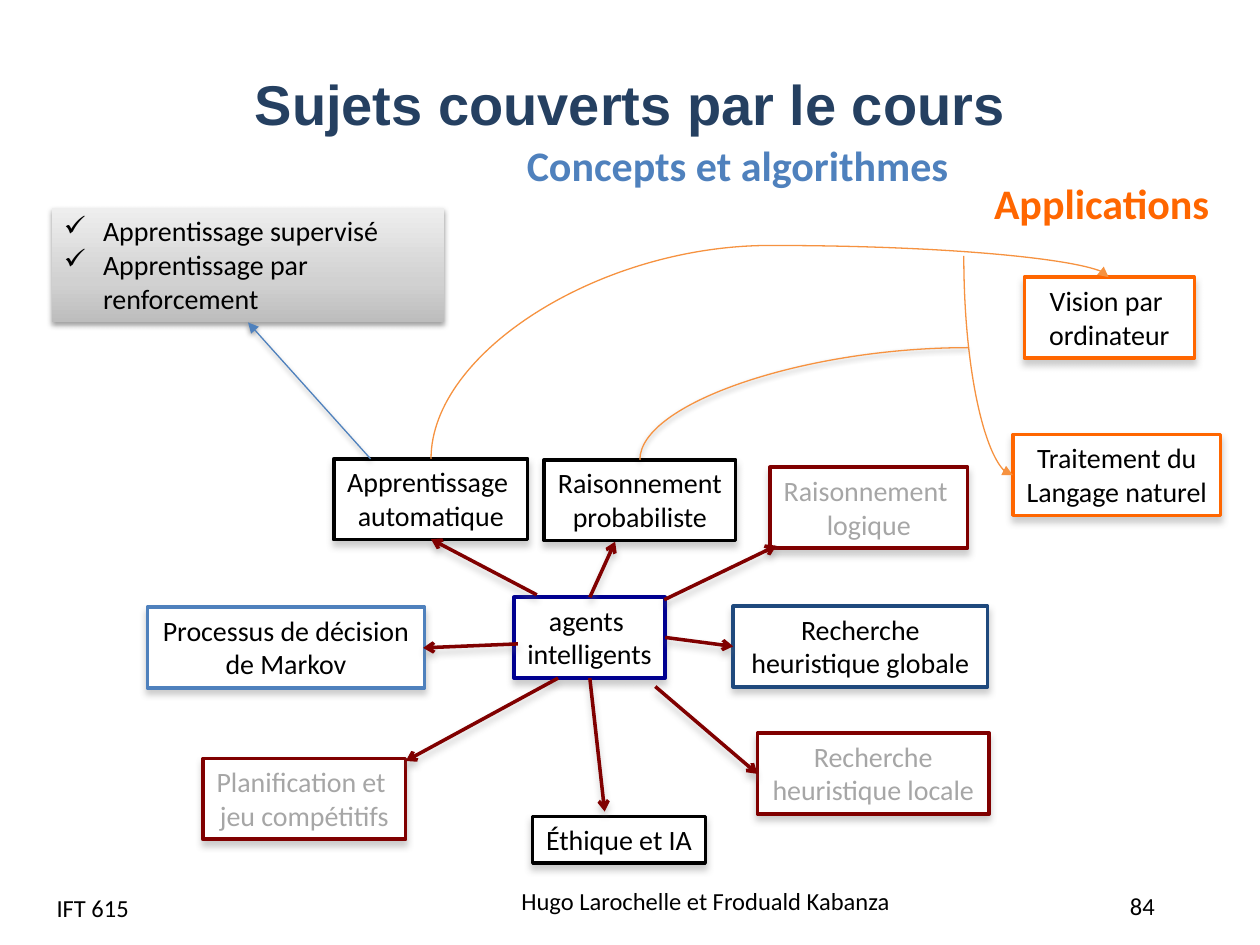
from dataclasses import dataclass
from typing import NamedTuple

from pptx import Presentation
from pptx.dml.color import RGBColor
from pptx.enum.shapes import MSO_CONNECTOR, MSO_SHAPE
from pptx.enum.text import MSO_ANCHOR, PP_ALIGN
from pptx.oxml import parse_xml
from pptx.oxml.ns import nsdecls, qn
from pptx.util import Cm, Pt

LEFT, CENTER = PP_ALIGN.LEFT, PP_ALIGN.CENTER
TOP, MIDDLE = MSO_ANCHOR.TOP, MSO_ANCHOR.MIDDLE
RECT, STRAIGHT = MSO_SHAPE.RECTANGLE, MSO_CONNECTOR.STRAIGHT


@dataclass(frozen=True)
class Theme:
    body: str = "Calibri"
    heading: str = "Arial"
    title_pt: int = 32
    section_pt: int = 24
    node_pt: int = 16
    footer_pt: int = 14
    node_line: float = 2
    thin_line: float = 0.75
    black: str = "000000"
    white: str = "FFFFFF"
    navy: str = "254061"
    blue: str = "4F81BD"
    dark_blue: str = "1F497D"
    agent: str = "000090"
    red: str = "800000"
    grey: str = "A6A6A6"
    orange: str = "FF6600"
    curve: str = "F69240"
    gradient: tuple = ((0, "BDBDBD"), (35, "D1D1D1"), (100, "EEEEEE"))
    # colour, opacity %, blur pt, distance pt
    node_shadow: tuple = ("808080", 40, 4, 3)
    thin_shadow: tuple = ("000000", 38, 3.1, 1.6)


class Box(NamedTuple):
    x: float
    y: float
    w: float
    h: float

    def inner(self, x, y, w, h):
        return Box(self.x + x, self.y + y, w, h)

    def point(self, x, y):
        return self.x + x, self.y + y

    def emu(self):
        return [Cm(v) for v in self]


T = Theme()
NODE_H = 1.63


def rgb(value):
    return RGBColor.from_string(value)


def set_shadow(spPr, shadow):
    """Give the shape a downward shadow, or none at all."""
    effects = spPr.find(qn("a:effectLst"))
    if effects is None:
        effects = parse_xml(f'<a:effectLst {nsdecls("a")}/>')
        spPr.append(effects)
    if shadow:
        color, alpha, blur, dist = shadow
        effects.append(parse_xml(
            f'<a:outerShdw {nsdecls("a")} blurRad="{Pt(blur)}" dist="{Pt(dist)}" '
            f'dir="5400000" rotWithShape="0"><a:srgbClr val="{color}">'
            f'<a:alpha val="{alpha * 1000}"/></a:srgbClr></a:outerShdw>'))


def write(sp, text, size=T.node_pt, color=T.black, font=T.body, bold=False,
          align=LEFT, anchor=TOP, wrap=True, bullet=None):
    tf = sp.text_frame
    tf.word_wrap, tf.vertical_anchor = wrap, anchor
    for i, line in enumerate(text.split("\n")):
        p = tf.paragraphs[0] if i == 0 else tf.add_paragraph()
        p.alignment = align
        if bullet:
            pPr = p._p.get_or_add_pPr()
            pPr.set("marL", str(Cm(0.79)))
            pPr.set("indent", str(-Cm(0.79)))
            pPr.append(parse_xml(f'<a:buChar {nsdecls("a")} char="{bullet}"/>'))
        r = p.add_run()
        r.text = line
        r.font.size, r.font.name, r.font.bold = Pt(size), font, bold
        r.font.color.rgb = rgb(color)


def add_text(slide, box, text, **fmt):
    write(slide.shapes.add_textbox(*box.emu()), text, **fmt)


def add_node(slide, box, text, line, color=T.black, wrap=False):
    sp = slide.shapes.add_shape(RECT, *box.emu())
    sp.shadow.inherit = False
    sp.fill.solid()
    sp.fill.fore_color.rgb = rgb(T.white)
    sp.line.color.rgb = rgb(line)
    sp.line.width = Pt(T.node_line)
    set_shadow(sp._element.spPr, T.node_shadow)
    write(sp, text, color=color, align=CENTER, wrap=wrap)


def add_link(slide, start, end, color, width=T.thin_line, head=None, shadow=None):
    c = slide.shapes.add_connector(STRAIGHT, *[Cm(v) for v in (*start, *end)])
    c.line.color.rgb = rgb(color)
    c.line.width = Pt(width)
    if head:
        c.line._get_or_add_ln().append(
            parse_xml(f'<a:tailEnd {nsdecls("a")} type="{head}"/>'))
    set_shadow(c._element.spPr, shadow)
    return c


def add_curve(slide, start, end, kind, turn, flips, adj=None, **fmt):
    """Curved link lying a quarter turn round, so its sides are swapped."""
    c = add_link(slide, start, end, T.curve, **fmt)
    (x1, y1), (x2, y2) = start, end
    w, h = abs(y2 - y1), abs(x2 - x1)
    c.left, c.top = Cm((x1 + x2 - w) / 2), Cm((y1 + y2 - h) / 2)
    c.width, c.height = Cm(w), Cm(h)
    spPr = c._element.spPr
    xfrm = spPr.find(qn("a:xfrm"))
    xfrm.set("rot", str(turn * 60000))
    for axis in "HV":
        xfrm.set("flip" + axis, str(int(axis in flips)))
    geom = spPr.find(qn("a:prstGeom"))
    geom.set("prst", kind)
    if adj:
        geom.find(qn("a:avLst")).append(
            parse_xml(f'<a:gd {nsdecls("a")} name="adj1" fmla="val {adj}"/>'))


def headings(slide, box):
    add_text(slide, box.inner(0, 0, box.w, 1.96), "Sujets couverts par le cours",
             size=T.title_pt, font=T.heading, color=T.navy, bold=True,
             align=CENTER, anchor=MIDDLE)
    add_text(slide, box.inner(9.73, 1.6, 9.09, 1.27), "Concepts et algorithmes",
             size=T.section_pt, color=T.blue, bold=True, wrap=False)


def concept_map(slide, box):
    # Topics: x, y, width, text, line, text colour, wrap
    for x, y, w, text, line, color, wrap in (
        (7.39, 2.79, 3.05, "agents \nintelligents", T.agent, T.black, False),
        (12.55, 0.17, 3.99, "Raisonnement \nlogique", T.red, T.grey, False),
        (3.76, 0, 3.91, "Apprentissage \nautomatique", T.black, T.black, False),
        (0, 2.99, 5.59, "Processus de décision \nde Markov", T.blue, T.black, True),
        (1.12, 6.04, 4.09, "Planification et \njeu compétitifs", T.red, T.grey, False),
        (12.3, 5.53, 4.67, "Recherche heuristique locale", T.red, T.grey, True),
        (11.81, 2.97, 5.13, "Recherche heuristique globale", T.dark_blue, T.black, True),
        (8, 0.02, 3.86, "Raisonnement\nprobabiliste", T.black, T.black, False),
    ):
        add_node(slide, box.inner(x, y, w, NODE_H), text, line, color, wrap)
    add_node(slide, box.inner(7.77, 7.21, 3.48, 0.94), "Éthique et IA", T.black)

    # Arrows out of the agents node
    for x1, y1, x2, y2 in (
        (8.92, 2.79, 9.43, 1.67), (7.85, 2.74, 5.72, 1.62),
        (10.44, 3.6, 11.81, 3.78), (10.24, 4.59, 12.3, 6.35),
        (8.92, 4.42, 9.22, 7.11), (7.47, 3.73, 5.56, 3.81),
        (8.28, 4.42, 5.21, 6.09), (10.42, 2.84, 12.68, 1.75),
    ):
        add_link(slide, box.point(x1, y1), box.point(x2, y2), T.red,
                 T.node_line, head="arrow", shadow=T.node_shadow)


def applications(slide, box):
    add_text(slide, box.inner(11.1, 0, 4.9, 1.27), "Applications",
             size=T.section_pt, color=T.orange, bold=True, wrap=False)
    add_node(slide, box.inner(11.96, 2.14, 3.43, NODE_H),
             "Vision par \nordinateur", T.orange, wrap=True)
    add_node(slide, box.inner(11.73, 5.31, 4.19, NODE_H),
             "Traitement du\nLangage naturel", T.orange)
    add_curve(slide, box.point(0, 5.8), box.point(13.66, 2.14),
              "curvedConnector3", 90, "HV", adj=117500, head="triangle")
    add_curve(slide, box.point(10.74, 1.71), box.point(11.73, 6.13),
              "curvedConnector2", 270, "H", head="triangle")
    add_curve(slide, box.point(4.21, 5.82), box.point(10.82, 3.56),
              "curvedConnector2", 90, "HV", shadow=T.thin_shadow)


def learning_note(slide, box):
    sp = slide.shapes.add_shape(RECT, *box.emu())
    sp.shadow.inherit = False
    sp.fill.background()
    sp.line.fill.background()
    spPr = sp._element.spPr
    stops = "".join(f'<a:gs pos="{pos * 1000}"><a:srgbClr val="{color}"/></a:gs>'
                    for pos, color in T.gradient)
    spPr.replace(spPr.find(qn("a:noFill")), parse_xml(
        f'<a:gradFill {nsdecls("a")} rotWithShape="1"><a:gsLst>{stops}</a:gsLst>'
        '<a:lin ang="16200000" scaled="0"/></a:gradFill>'))
    set_shadow(spPr, T.thin_shadow)
    write(sp, "Apprentissage supervisé\nApprentissage par renforcement", bullet="✓")
    add_link(slide, box.point(6.43, 5.06), box.point(3.96, box.h), T.blue,
             head="triangle", shadow=T.thin_shadow)


def footer(slide, box):
    for x, y, w, h, text, align in (
        (0, 0.13, 5.92, 1.02, "IFT 615", LEFT),
        (9.37, 0, 8.76, 1.02, "Hugo Larochelle et Froduald Kabanza", LEFT),
        (21.11, 0.28, 2.06, 0.66, "84", CENTER),
    ):
        add_text(slide, box.inner(x, y, w, h), text, size=T.footer_pt,
                 align=align, anchor=MIDDLE)


def main():
    prs = Presentation()
    prs.slide_width, prs.slide_height = Cm(25.4), Cm(19.05)
    slide = prs.slides.add_slide(prs.slide_layouts[6])
    headings(slide, Box(0.64, 1.09, 24.13, 2.87))
    concept_map(slide, Box(2.97, 9.25, 16.97, 8.15))
    applications(slide, Box(8.69, 3.45, 16, 6.94))
    learning_note(slide, Box(1.04, 4.19, 7.92, 2.31))
    footer(slide, Box(0.89, 17.65, 23.17, 1.15))
    prs.save("out.pptx")


if __name__ == "__main__":
    main()
